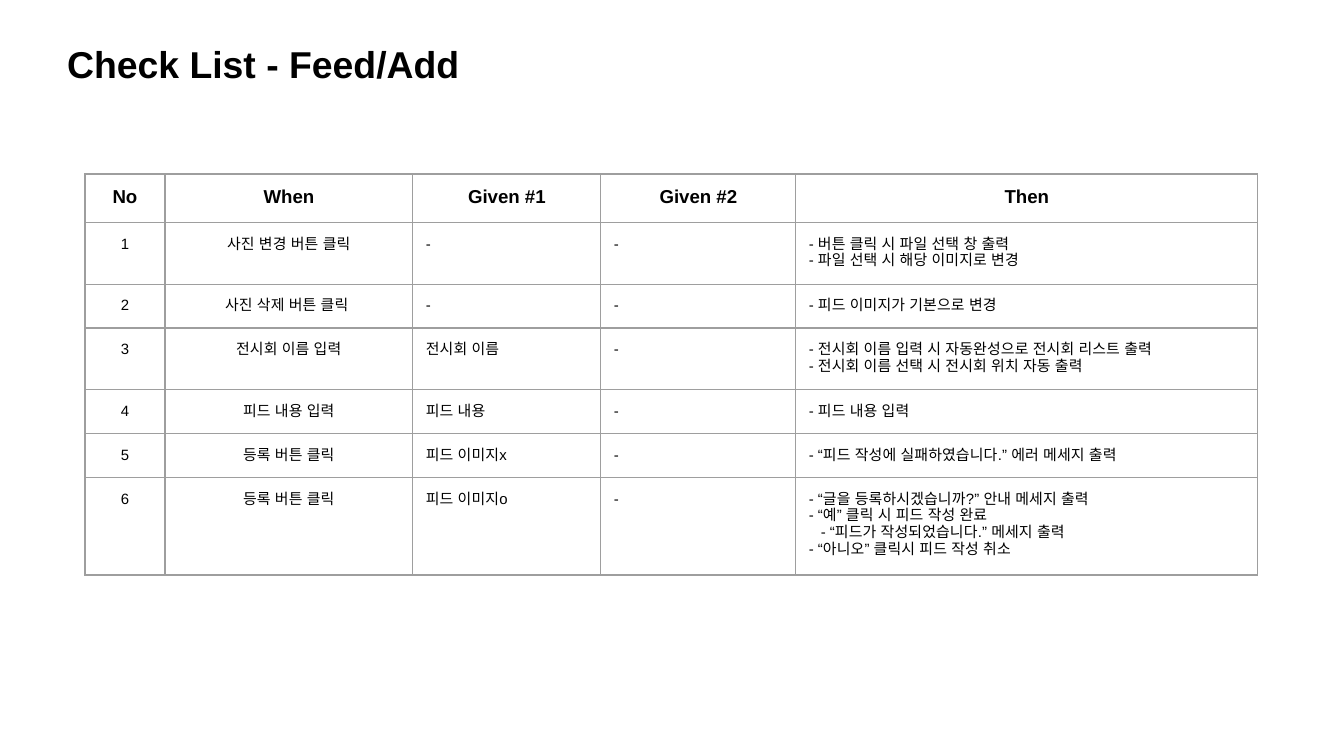
from dataclasses import dataclass

import pptx
import pptx.dml.color
import pptx.enum.text
import pptx.oxml
import pptx.oxml.ns
import pptx.util

PX = 914400 / 134.4
COLORS = {"text": "000000", "border": "9E9E9E", "background": "FFFFFF"}
FONT = "Arial"
INSET = 13
SUB_INDENT = 12
ROW_HEIGHT = 42
COLUMN_WIDTHS = (80, 248, 188, 195, 462)
HEADERS = ("No", "When", "Given #1", "Given #2", "Then")
CENTERED_COLUMNS = (0, 1)
ALIGN = pptx.enum.text.PP_ALIGN
ANCHOR = pptx.enum.text.MSO_ANCHOR
TITLE_FORMAT = {"size": pptx.util.Pt(20), "bold": True}
HEADER_FORMAT = {"size": pptx.util.Pt(10), "bold": True}
BODY_FORMAT = {"size": pptx.util.Pt(8), "bold": False}


@dataclass
class Check:
    when: str
    then: tuple[str, ...]
    given: str = "-"
    given2: str = "-"


@dataclass
class SubItem:
    """An indented line of an outcome."""
    text: str


CHECKS = (
    Check("사진 변경 버튼 클릭",
          ("- 버튼 클릭 시 파일 선택 창 출력", "- 파일 선택 시 해당 이미지로 변경")),
    Check("사진 삭제 버튼 클릭 ", ("- 피드 이미지가 기본으로 변경",)),
    Check("전시회 이름 입력",
          ("- 전시회 이름 입력 시 자동완성으로 전시회 리스트 출력",
           "- 전시회 이름 선택 시 전시회 위치 자동 출력"), "전시회 이름"),
    Check("피드 내용 입력", ("- 피드 내용 입력",), "피드 내용"),
    Check("등록 버튼 클릭", ("- “피드 작성에 실패하였습니다.” 에러 메세지 출력",), "피드 이미지x"),
    Check("등록 버튼 클릭",
          ("- “글을 등록하시겠습니까?” 안내 메세지 출력",
           "- “예” 클릭 시 피드 작성 완료",
           SubItem("- “피드가 작성되었습니다.” 메세지 출력"),
           "- “아니오” 클릭시 피드 작성 취소"), "피드 이미지o"),
)


def px(value: int) -> pptx.util.Emu:
    return pptx.util.Emu(round(value * PX))


def set_attributes(target, values: dict) -> None:
    for name, value in values.items():
        setattr(target, name, value)


def write_lines(tf, lines: tuple, font_format: dict, align=ALIGN.LEFT) -> None:
    for i, line in enumerate(lines):
        p = tf.paragraphs[0] if i == 0 else tf.add_paragraph()
        p.alignment = align
        is_sub = isinstance(line, SubItem)
        if is_sub:
            p._p.get_or_add_pPr().set("marL", str(px(SUB_INDENT)))
        r = p.add_run()
        r.text = line.text if is_sub else line
        set_attributes(r.font, {"name": FONT, **font_format})
        r.font.color.rgb = pptx.dml.color.RGBColor.from_string(COLORS["text"])
        for tag in ("a:cs", "a:ea"):
            face = pptx.oxml.parse_xml(
                f'<{tag} {pptx.oxml.ns.nsdecls("a")} typeface="{FONT}"/>')
            r.font._rPr.find(pptx.oxml.ns.qn("a:latin")).addnext(face)


def add_borders(cell) -> None:
    tc_pr = cell._tc.get_or_add_tcPr()
    for side in "LRTB":
        tc_pr.append(pptx.oxml.parse_xml(
            f'<a:ln{side} {pptx.oxml.ns.nsdecls("a")} w="{pptx.util.Pt(0.75)}">'
            f'<a:solidFill><a:srgbClr val="{COLORS["border"]}"/></a:solidFill>'
            f'</a:ln{side}>'))


def add_title(s, text: str) -> None:
    sp = s.shapes.title
    set_attributes(sp, {"left": px(54), "top": px(28), "width": px(798), "height": px(73)})
    tf = sp.text_frame
    set_attributes(tf, {f"margin_{side}": px(INSET)
                        for side in ("left", "right", "top", "bottom")})
    set_attributes(tf, {"word_wrap": True, "vertical_anchor": ANCHOR.TOP,
                        "auto_size": pptx.enum.text.MSO_AUTO_SIZE.SHAPE_TO_FIT_TEXT})
    write_lines(tf, (text,), TITLE_FORMAT)


def add_check_table(s) -> None:
    rows = [[(header,) for header in HEADERS]]
    rows += [[(str(no),), (c.when,), (c.given,), (c.given2,), c.then]
             for no, c in enumerate(CHECKS, 1)]
    table = s.shapes.add_table(len(rows), len(HEADERS), px(85), px(174),
                               px(sum(COLUMN_WIDTHS)), px(ROW_HEIGHT * len(rows))).table
    set_attributes(table, {"first_row": False, "horz_banding": False})
    for column, width in zip(table.columns, COLUMN_WIDTHS):
        column.width = px(width)
    for row_no, row in enumerate(rows):
        table.rows[row_no].height = px(ROW_HEIGHT)
        for col_no, lines in enumerate(row):
            cell = table.cell(row_no, col_no)
            set_attributes(cell, {f"margin_{side}": px(INSET)
                                  for side in ("left", "right", "top", "bottom")})
            cell.vertical_anchor = ANCHOR.TOP
            add_borders(cell)
            cell.fill.background()
            is_header = row_no == 0
            centered = is_header or col_no in CENTERED_COLUMNS
            write_lines(cell.text_frame, lines,
                        HEADER_FORMAT if is_header else BODY_FORMAT,
                        ALIGN.CENTER if centered else ALIGN.LEFT)


def main() -> None:
    prs = pptx.Presentation()
    set_attributes(prs, {"slide_width": px(1344), "slide_height": px(756)})
    s = prs.slides.add_slide(prs.slide_layouts[5])
    fill = s.background.fill
    fill.solid()
    fill.fore_color.rgb = pptx.dml.color.RGBColor.from_string(COLORS["background"])
    add_title(s, "Check List - Feed/Add")
    add_check_table(s)
    prs.save("out.pptx")


if __name__ == "__main__":
    main()
